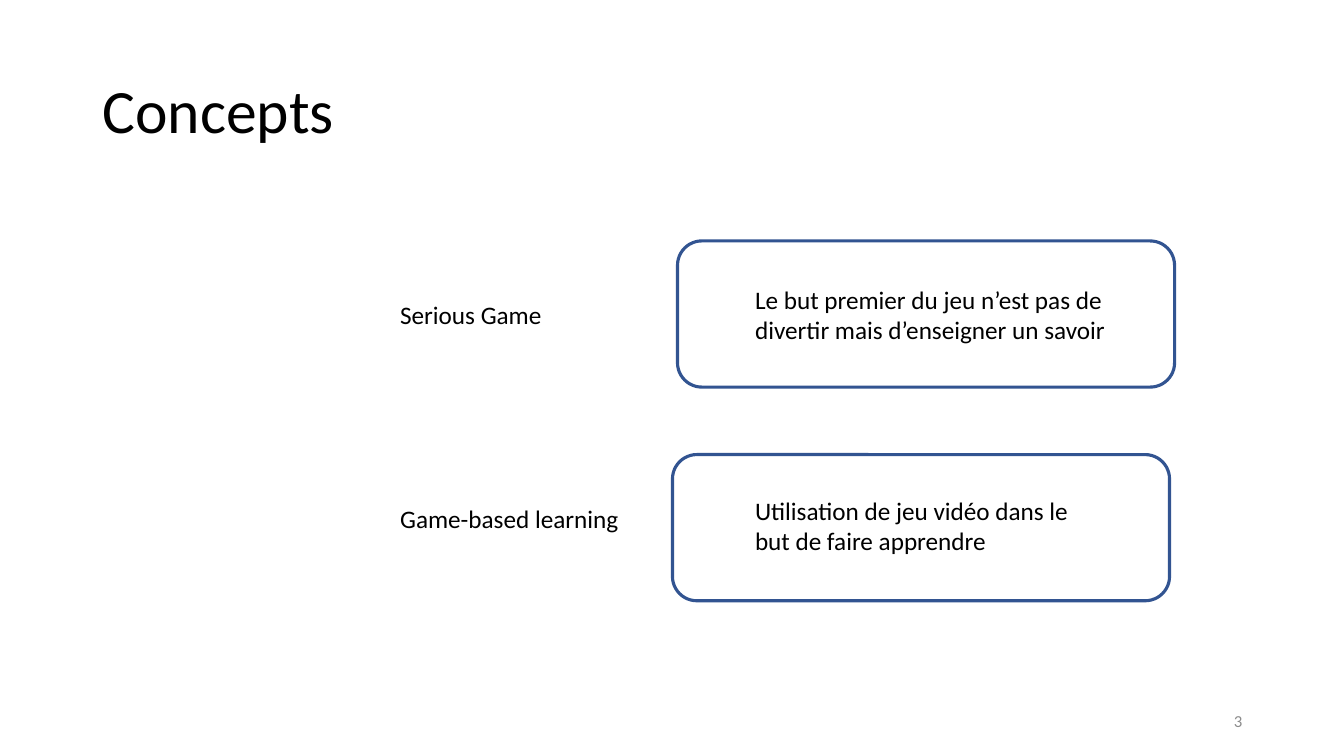
"""Build the "Concepts" slide with two terms and their definitions."""
import dataclasses

import pptx
import pptx.dml.color
import pptx.enum.shapes
import pptx.enum.text
import pptx.util

ALIGN = pptx.enum.text.PP_ALIGN
ANCHOR = pptx.enum.text.MSO_ANCHOR


@dataclasses.dataclass(frozen=True)
class Theme:
    font: str = "Calibri"
    text: str = "000000"
    muted: str = "8C8C8C"
    outline: str = "325491"
    title_size: int = 44
    body_size: int = 18
    number_size: int = 12
    outline_width: float = 2.25


THEME = Theme()


def px(n):
    return pptx.util.Inches(n / 100)


def rgb(value):
    return pptx.dml.color.RGBColor.from_string(value)


def add_text(s, box, text, size=THEME.body_size, color=THEME.text,
             align=ALIGN.LEFT, anchor=ANCHOR.TOP, spacing=1.0):
    tf = s.shapes.add_textbox(*map(px, box)).text_frame
    tf.word_wrap = True
    tf.vertical_anchor = anchor
    p = tf.paragraphs[0]
    p.alignment = align
    p.line_spacing = spacing
    r = p.add_run()
    r.text = text
    r.font.name = THEME.font
    r.font.size = pptx.util.Pt(size)
    r.font.color.rgb = rgb(color)


def add_frame(s, left, top):
    sp = s.shapes.add_shape(pptx.enum.shapes.MSO_SHAPE.ROUNDED_RECTANGLE,
                            px(left), px(top), px(493), px(145))
    sp.shadow.inherit = False
    sp.fill.background()
    sp.line.color.rgb = rgb(THEME.outline)
    sp.line.width = pptx.util.Pt(THEME.outline_width)


def add_concept(s, term, term_box, definition, definition_box, frame_at):
    add_text(s, term_box, term)
    add_text(s, definition_box, definition)
    add_frame(s, *frame_at)


def main():
    prs = pptx.Presentation()
    prs.slide_width, prs.slide_height = px(1333), px(750)
    s = prs.slides.add_slide(prs.slide_layouts[6])
    add_text(s, (92, 40, 1150, 145), "Concepts", THEME.title_size,
             anchor=ANCHOR.MIDDLE, spacing=0.9)
    add_text(s, (942, 695, 300, 40), "3", THEME.number_size, THEME.muted,
             ALIGN.RIGHT, ANCHOR.MIDDLE)
    add_concept(s, "Serious Game", (387, 292, 280, 40),
                "Le but premier du jeu n’est pas de divertir mais d’enseigner un savoir",
                (739, 277, 388, 71), (672, 239))
    add_concept(s, "Game-based learning", (387, 494, 298, 40),
                "Utilisation de jeu vidéo dans le but de faire apprendre",
                (739, 486, 360, 71), (667, 451))
    prs.save("out.pptx")


if __name__ == "__main__":
    main()
